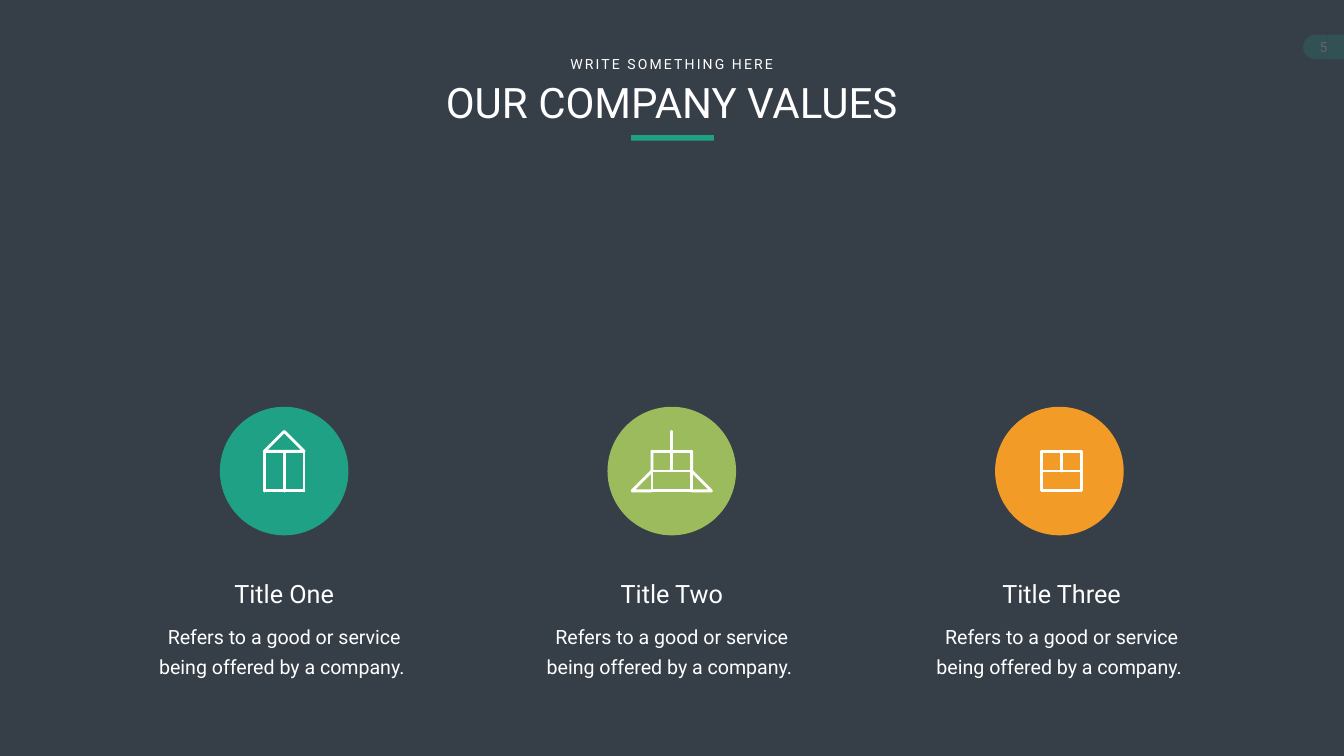
"""Build the "Our company values" slide with three icon columns."""
from dataclasses import dataclass

from lxml import etree
from pptx import Presentation
from pptx.dml.color import RGBColor
from pptx.enum.shapes import MSO_SHAPE
from pptx.enum.text import MSO_ANCHOR, MSO_AUTO_SIZE, PP_ALIGN
from pptx.oxml.ns import qn
from pptx.util import Cm, Pt

RECT, OVAL, DELAY = MSO_SHAPE.RECTANGLE, MSO_SHAPE.OVAL, MSO_SHAPE.FLOWCHART_DELAY
CENTER, TOP, MIDDLE = PP_ALIGN.CENTER, MSO_ANCHOR.TOP, MSO_ANCHOR.MIDDLE
NO_AUTOSIZE = MSO_AUTO_SIZE.NONE

COLORS = {"slate": "363E48", "teal": "1EA185", "green": "9BBB5C",
          "orange": "F29B26", "white": "FFFFFF"}
FONT = "Roboto"
WIDTH, HEIGHT = 67.72, 38.1
FIRST_X, STEP_X = 14.32, 19.53
CIRCLE_Y, CIRCLE_D = 23.74, 6.48
BODY = "Refers to a good or service being offered by a company. "

Point = tuple[float, float]


@dataclass
class Stroke:
    points: list[Point]
    closed: bool = False


@dataclass
class Value:
    title: str
    color: str
    icon: list[Stroke]
    shift: float = 0


def rgb(name: str) -> RGBColor:
    return RGBColor.from_string(COLORS[name])


def mirror(points: list[Point]) -> list[Point]:
    return [(-x, y) for x, y in points]


def box(x1: float, y1: float, x2: float, y2: float) -> Stroke:
    return Stroke([(x1, y1), (x2, y1), (x2, y2), (x1, y2)], True)


def bank_icon() -> list[Stroke]:
    columns = [Stroke([(side * x, -0.61), (side * x, 0.74)])
               for x in (0.34, 0.75, 1.16) for side in (-1, 1)]
    return [
        Stroke([(0, -1.69), (1.42, -0.89), (-1.42, -0.89)], True),
        box(-1.42, -0.89, 1.42, -0.61),
        *columns,
        Stroke([(-1.28, 0.74), (1.28, 0.74), (1.42, 1.14), (-1.42, 1.14)], True),
    ]


def people_icon() -> list[Stroke]:
    front = [(0, -1.54), (0.23, -1.52), (0.36, -1.44), (0.44, -1.24),
             (0.51, -1.0), (0.46, -0.7), (0.43, -0.62), (0.43, -0.44),
             (0.39, -0.34), (0.28, -0.19), (0.25, 0.06), (0.33, 0.34),
             (0.57, 0.48), (0.84, 0.6), (0.99, 0.75), (1.04, 0.99)]
    side = [(0.7, -1.22), (0.81, -1.26), (1.02, -1.21), (1.17, -1.1),
            (1.27, -0.88), (1.21, -0.62), (1.21, -0.44), (1.17, -0.34),
            (1.09, -0.01), (1.17, 0.22), (1.3, 0.32), (1.47, 0.43),
            (1.57, 0.7), (1.22, 0.7)]
    return [Stroke(front + mirror(front)[:0:-1], True),
            Stroke(side), Stroke(mirror(side))]


def board_icon() -> list[Stroke]:
    rows = [(0.6, -0.58), (0.88, -0.32), (0.48, -0.05), (0.88, 0.23)]
    return [
        box(-1.42, -1.27, 1.42, -0.99),
        box(-1.3, -0.99, 1.3, 0.76),
        box(-0.89, -0.58, -0.2, 0.23),
        *[Stroke([(0.2, y), (x, y)]) for x, y in rows],
        Stroke([(-0.06, -1.35), (0, -1.39), (0.06, -1.35)]),
        Stroke([(0, 0.76), (0, 1.05)]),
        Stroke([(-0.41, 1.44), (0, 1.05), (0.41, 1.44)]),
    ]


def add_block(slide, kind, x: float, y: float, w: float, h: float, color: str):
    s = slide.shapes.add_shape(kind, Cm(x), Cm(y), Cm(w), Cm(h))
    s.shadow.inherit = False
    s.fill.solid()
    s.fill.fore_color.rgb = rgb(color)
    s.line.fill.background()
    return s


def add_icon(slide, x: float, y: float, strokes: list[Stroke]) -> None:
    start_x, start_y = strokes[0].points[0]
    fb = slide.shapes.build_freeform(start_x, start_y, scale=Cm(1))
    for i, stroke in enumerate(strokes):
        if i:
            fb.move_to(*stroke.points[0])
        fb.add_line_segments(stroke.points[1:], close=stroke.closed)
    s = fb.convert_to_shape(Cm(x), Cm(y))
    s.shadow.inherit = False
    s.fill.background()
    s.line.color.rgb = rgb("white")
    s.line.width = Pt(4)
    s.element.spPr.find(qn("a:ln")).set("cap", "rnd")


def write(s, text: str, size: float, anchor=TOP, wrap: bool = True):
    tf = s.text_frame
    tf.auto_size = NO_AUTOSIZE
    tf.word_wrap = wrap
    tf.vertical_anchor = anchor
    p = tf.paragraphs[0]
    p.alignment = CENTER
    r = p.add_run()
    r.text = text
    r.font.name = FONT
    r.font.size = Pt(size)
    r.font.color.rgb = rgb("white")
    return p


def add_text(slide, x: float, y: float, w: float, h: float, text: str,
             size: float, wrap: bool = True):
    s = slide.shapes.add_textbox(Cm(x), Cm(y), Cm(w), Cm(h))
    return s, write(s, text, size, wrap=wrap)


def add_page_number(slide) -> None:
    add_block(slide, DELAY, 65.66, 1.75, 1.24, 1.24, "teal").rotation = 180
    add_block(slide, RECT, 66.9, 1.75, 0.82, 1.24, "teal")
    s = slide.shapes.add_textbox(Cm(65.66), Cm(1.75), Cm(2.06), Cm(1.24))
    write(s, "5", 20, MIDDLE)


def add_veil(slide) -> None:
    s = add_block(slide, RECT, 0, 0, WIDTH, 23.72, "slate")
    color = s.element.spPr.find(qn("a:solidFill"))[0]
    etree.SubElement(color, qn("a:alpha")).set("val", "80000")


def add_header(slide) -> None:
    add_block(slide, RECT, 31.8, 6.81, 4.17, 0.28, "teal")
    title = slide.shapes.title
    title.left, title.top, title.width, title.height = (
        Cm(19.43), Cm(3.73), Cm(28.83), Cm(2.82))
    write(title, "OUR COMPANY VALUES", 60)
    title.element.getparent().append(title.element)
    _, p = add_text(slide, 28.32, 2.67, 11.05, 1.12, "WRITE SOMETHING HERE", 20, False)
    p.runs[0].font._element.set("spc", "300")


def add_value(slide, x: float, value: Value) -> None:
    add_block(slide, OVAL, x - CIRCLE_D / 2, CIRCLE_Y - CIRCLE_D / 2,
              CIRCLE_D, CIRCLE_D, value.color)
    text_x = x + value.shift
    add_icon(slide, text_x, CIRCLE_Y, value.icon)
    s, p = add_text(slide, text_x - 6.99, 30.84, 13.98, 3.53, BODY, 28)
    tf = s.text_frame
    tf.margin_left = tf.margin_right = Cm(0.61)
    tf.margin_top = tf.margin_bottom = Cm(0.3)
    p.line_spacing = Pt(43)
    add_text(slide, text_x - 6.38, 29.03, 12.76, 1.8, value.title, 36)


def main() -> None:
    prs = Presentation()
    prs.slide_width, prs.slide_height = Cm(WIDTH), Cm(HEIGHT)
    slide = prs.slides.add_slide(prs.slide_layouts[5])
    slide.background.fill.solid()
    slide.background.fill.fore_color.rgb = rgb("slate")
    add_page_number(slide)
    add_veil(slide)
    add_header(slide)
    values = [Value("Title One", "teal", bank_icon()),
              Value("Title Two", "green", people_icon()),
              Value("Title Three", "orange", board_icon(), 0.11)]
    for i, value in enumerate(values):
        add_value(slide, FIRST_X + i * STEP_X, value)
    prs.save("out.pptx")


if __name__ == "__main__":
    main()
